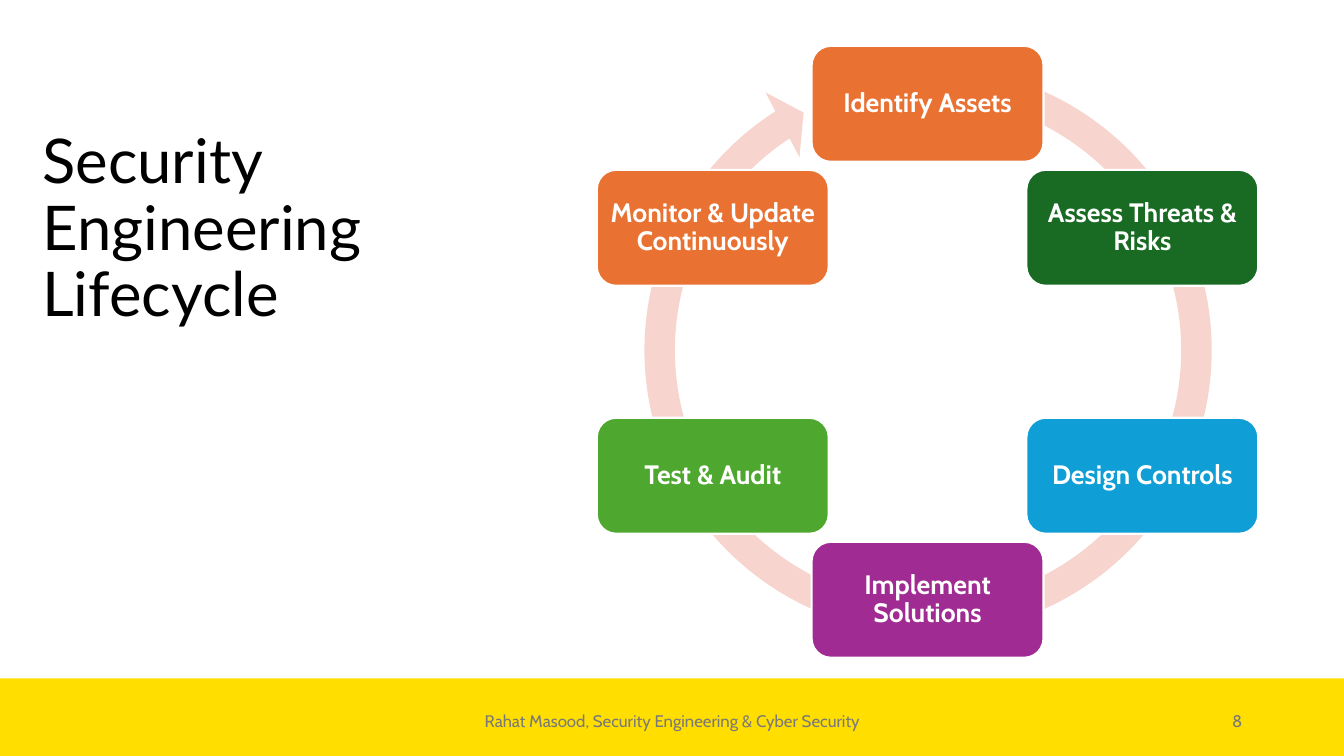
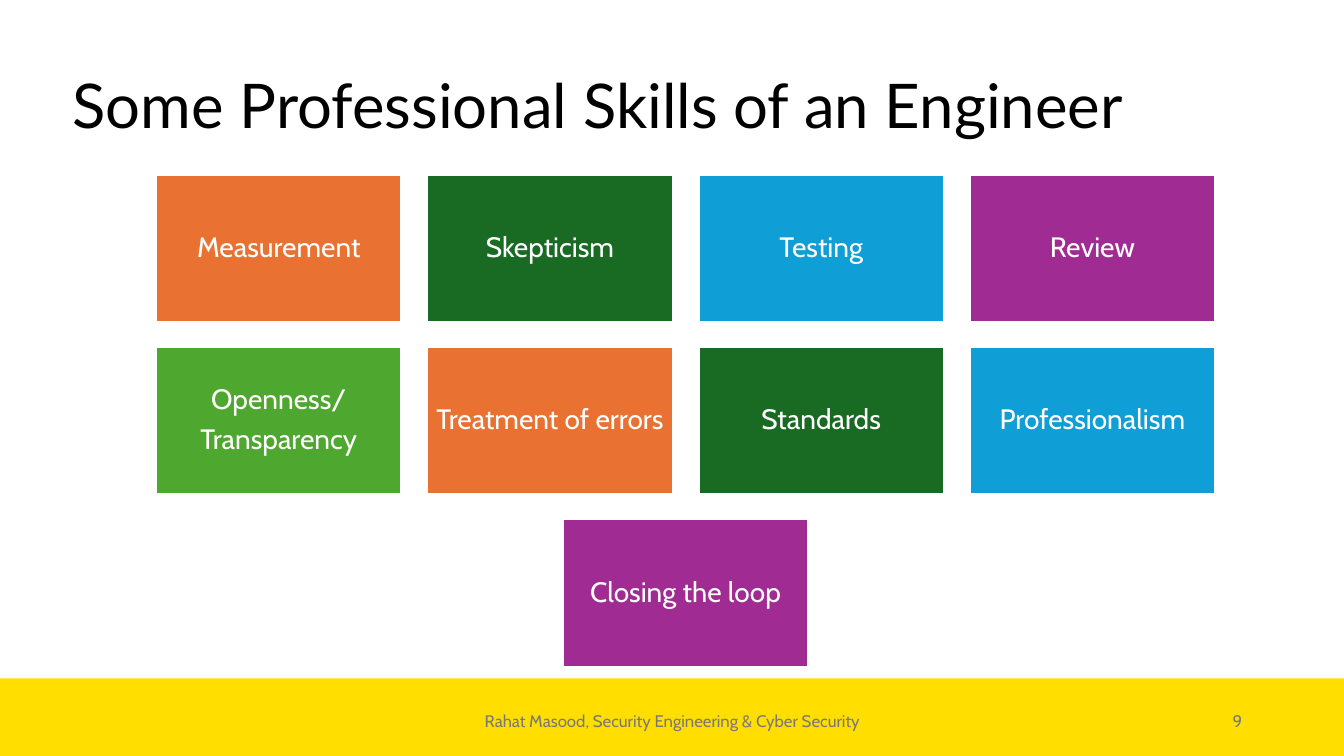
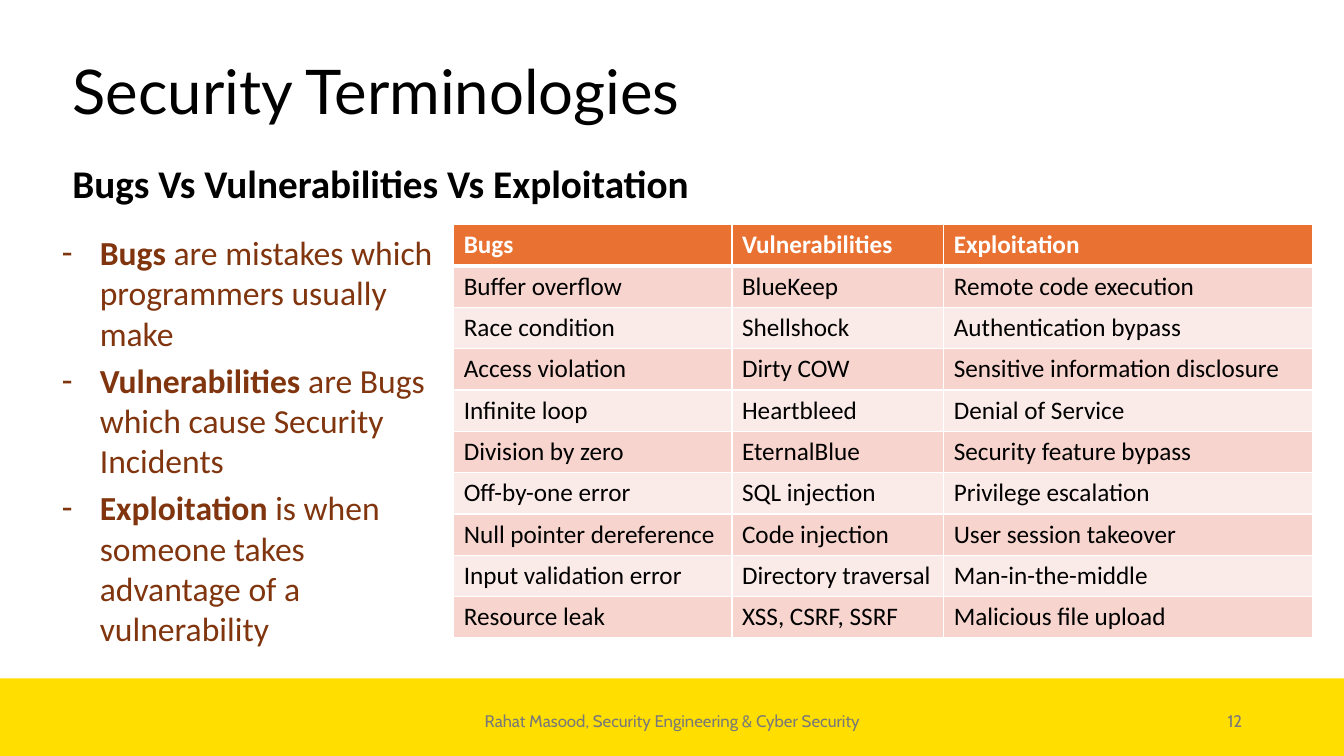
import math
from pptx import Presentation
from pptx import util as u
from pptx.dml.color import RGBColor
from pptx.enum import shapes, text
from pptx.oxml import parse_xml
from pptx.oxml.ns import nsdecls

PALETTE = ["E97132", "196B24", "0F9ED5", "A02B93", "4EA72E"]
WHITE, BLACK, YELLOW, GREY, BROWN = "FFFFFF", "000000", "FFDE00", "797979", "80350E"
PINK, PALE_PINK = "F7D5CE", "FBEBE8"
FOOTER = "Rahat Masood, Security Engineering & Cyber Security"
LEFT, CENTER, RIGHT = text.PP_ALIGN.LEFT, text.PP_ALIGN.CENTER, text.PP_ALIGN.RIGHT
MIDDLE, TOP = text.MSO_ANCHOR.MIDDLE, text.MSO_ANCHOR.TOP
TITLE_ONLY, TITLE_AND_BODY = 5, 1

LIFECYCLE = [
    "Identify Assets",
    "Assess Threats & Risks",
    "Design Controls",
    "Implement Solutions",
    "Test & Audit",
    "Monitor & Update Continuously",
]
SKILLS = [
    ["Measurement"], ["Skepticism"], ["Testing"], ["Review"],
    ["Openness/", "Transparency"], ["Treatment of errors"], ["Standards"], ["Professionalism"],
    ["Closing the loop"],
]
DEFINITIONS = [
    [("Bugs", True), (" are mistakes which programmers usually make", False)],
    [("Vulnerabilities", True), (" are Bugs which cause Security Incidents", False)],
    [("Exploitation", True), (" is when someone takes advantage of a vulnerability", False)],
]
TERMS = [
    ("Bugs", "Vulnerabilities", "Exploitation"),
    ("Buffer overflow", "BlueKeep", "Remote code execution"),
    ("Race condition", "Shellshock", "Authentication bypass"),
    ("Access violation", "Dirty COW", "Sensitive information disclosure"),
    ("Infinite loop", "Heartbleed", "Denial of Service"),
    ("Division by zero", "EternalBlue", "Security feature bypass"),
    ("Off-by-one error", "SQL injection", "Privilege escalation"),
    ("Null pointer dereference", "Code injection", "User session takeover"),
    ("Input validation error", "Directory traversal", "Man-in-the-middle"),
    ("Resource leak", "XSS, CSRF, SSRF", "Malicious file upload"),
]
COLUMN_WIDTHS = [2.76, 2.1, 3.66]
ROW_HEIGHT = 0.41


def color(code):
    return RGBColor.from_string(code)


def assign(target, values):
    for name, value in values.items():
        setattr(target, name, value)


def place(shape, left, top, width, height):
    assign(shape, {"left": u.Inches(left), "top": u.Inches(top),
                   "width": u.Inches(width), "height": u.Inches(height)})


def write(frame, paragraphs, size, font, tint, bold=False, **para_format):
    for index, spans in enumerate(paragraphs):
        para = frame.paragraphs[0] if index == 0 else frame.add_paragraph()
        assign(para, para_format)
        for words, heavy in [(spans, bold)] if isinstance(spans, str) else spans:
            span = para.add_run()
            span.text = words
            assign(span.font, {"size": u.Pt(size), "name": font, "bold": heavy})
            span.font.color.rgb = color(tint)


def set_frame(frame, anchor=TOP, **values):
    assign(frame, {"word_wrap": True, "auto_size": text.MSO_AUTO_SIZE.NONE,
                   "vertical_anchor": anchor, **values})


def add_text(page, bounds, words, size, font, tint, anchor=TOP, **formats):
    box = page.shapes.add_textbox(*map(u.Inches, bounds))
    set_frame(box.text_frame, anchor)
    write(box.text_frame, [words], size, font, tint, **formats)


def add_block(page, kind, bounds, fill, line_width=0):
    block = page.shapes.add_shape(kind, *map(u.Inches, bounds))
    block.shadow.inherit = False
    block.fill.solid()
    block.fill.fore_color.rgb = color(fill)
    if line_width:
        block.line.color.rgb = color(WHITE)
        block.line.width = u.Pt(line_width)
    else:
        block.line.fill.background()
    return block


def add_card(page, kind, bounds, fill, line_width, lines, size, bold=False):
    frame = add_block(page, kind, bounds, fill, line_width).text_frame
    inset = u.Inches(0.07)
    set_frame(frame, MIDDLE, margin_left=inset, margin_right=inset,
              margin_top=inset, margin_bottom=inset)
    write(frame, lines, size, "Cabin", WHITE, bold, alignment=CENTER,
          line_spacing=0.9, space_after=u.Pt(0.35 * size))


def add_page(deck, layout, number, title_lines, title_bounds):
    page = deck.slides.add_slide(deck.slide_layouts[layout])
    add_block(page, shapes.MSO_SHAPE.RECTANGLE, (0, 6.73, 13.33, 0.77), YELLOW)
    title = page.shapes.title
    place(title, *title_bounds)
    set_frame(title.text_frame, MIDDLE)
    para = title.text_frame.paragraphs[0]
    for index, line in enumerate(title_lines):
        if index:
            para.add_line_break()
        write(title.text_frame, [line], 44, "Lato", BLACK, alignment=LEFT, line_spacing=0.9)
    add_text(page, (4.42, 6.95, 4.5, 0.4), FOOTER, 12, "Cabin", GREY, MIDDLE, alignment=CENTER)
    add_text(page, (9.42, 6.95, 3, 0.4), str(number), 12, "Cabin", GREY, MIDDLE, alignment=RIGHT)
    return page


def add_lifecycle(page):
    center_x, center_y, radius, width, height = 9.2, 3.49, 2.46, 2.3, 1.15
    ring = add_block(page, shapes.MSO_SHAPE.CIRCULAR_ARROW, (6.18, 0.45, 6.05, 6.05), PINK)
    for index, value in enumerate([0.05, 3.13, 142.29, 171.27, 0.06]):
        ring.adjustments[index] = value
    for index, step in enumerate(LIFECYCLE):
        angle = math.tau * index / len(LIFECYCLE)
        left = center_x + radius * math.sin(angle) - width / 2
        top = center_y - radius * math.cos(angle) - height / 2
        add_card(page, shapes.MSO_SHAPE.ROUNDED_RECTANGLE, (left, top, width, height),
                 PALETTE[index % len(PALETTE)], 1.5, [step], 19, True)


def add_skills(page):
    center_x, top, width, height, gap, columns = 6.8, 1.73, 2.44, 1.47, 0.25, 4
    for index, lines in enumerate(SKILLS):
        row, column = divmod(index, columns)
        in_row = min(columns, len(SKILLS) - row * columns)
        start = center_x - (in_row * (width + gap) - gap) / 2
        bounds = (start + column * (width + gap), top + row * (height + 0.24), width, height)
        add_card(page, shapes.MSO_SHAPE.RECTANGLE, bounds,
                 PALETTE[index % len(PALETTE)], 2, lines, 20)


def add_definitions(page):
    body = page.placeholders[1]
    place(body, 0.22, 2.25, 4.28, 4.8)
    set_frame(body.text_frame)
    write(body.text_frame, DEFINITIONS, 24, "Calibri", BROWN, level=1, space_before=u.Pt(4.8))
    for para in body.text_frame.paragraphs:
        properties = para._p.get_or_add_pPr()
        properties.set("marL", str(u.Inches(0.67)))
        properties.set("indent", str(u.Inches(-0.38)))
        properties.append(parse_xml(f'<a:buChar {nsdecls("a")} char="-"/>'))


def set_borders(cell, bottom_width):
    properties = cell._tc.get_or_add_tcPr()
    widths = {"lnL": 1, "lnR": 1, "lnT": 1, "lnB": bottom_width}
    for index, (side, width) in enumerate(widths.items()):
        properties.insert(index, parse_xml(
            f'<a:{side} {nsdecls("a")} w="{u.Pt(width)}"><a:solidFill>'
            f'<a:srgbClr val="{WHITE}"/></a:solidFill></a:{side}>'))


def add_terms(page):
    bounds = (4.5, 2.23, sum(COLUMN_WIDTHS), ROW_HEIGHT * len(TERMS))
    table = page.shapes.add_table(len(TERMS), len(COLUMN_WIDTHS), *map(u.Inches, bounds)).table
    for column, width in zip(table.columns, COLUMN_WIDTHS):
        column.width = u.Inches(width)
    for row, terms in enumerate(TERMS):
        header = row == 0
        fill = PALETTE[0] if header else PINK if row % 2 else PALE_PINK
        for column, term in enumerate(terms):
            cell = table.cell(row, column)
            cell.fill.solid()
            cell.fill.fore_color.rgb = color(fill)
            set_borders(cell, 3 if header else 1)
            write(cell.text_frame, [term], 18, "Calibri", WHITE if header else BLACK, header)


def main():
    deck = Presentation()
    assign(deck, {"slide_width": u.Inches(13.33), "slide_height": u.Inches(7.5)})
    add_lifecycle(add_page(deck, TITLE_ONLY, 8, ["Security", "Engineering", "Lifecycle"],
                           (0.32, 1.87, 5.5, 0.83)))
    add_skills(add_page(deck, TITLE_ONLY, 9, ["Some Professional Skills of an Engineer"],
                        (0.62, 0.52, 11.8, 1.11)))
    page = add_page(deck, TITLE_AND_BODY, 12, ["Security Terminologies"], (0.62, 0.52, 11.6, 0.83))
    add_definitions(page)
    add_terms(page)
    add_text(page, (0.62, 1.53, 6.41, 0.88), "Bugs Vs Vulnerabilities Vs Exploitation",
             28, "Calibri", BLACK, bold=True)
    deck.save("out.pptx")


if __name__ == "__main__":
    main()
